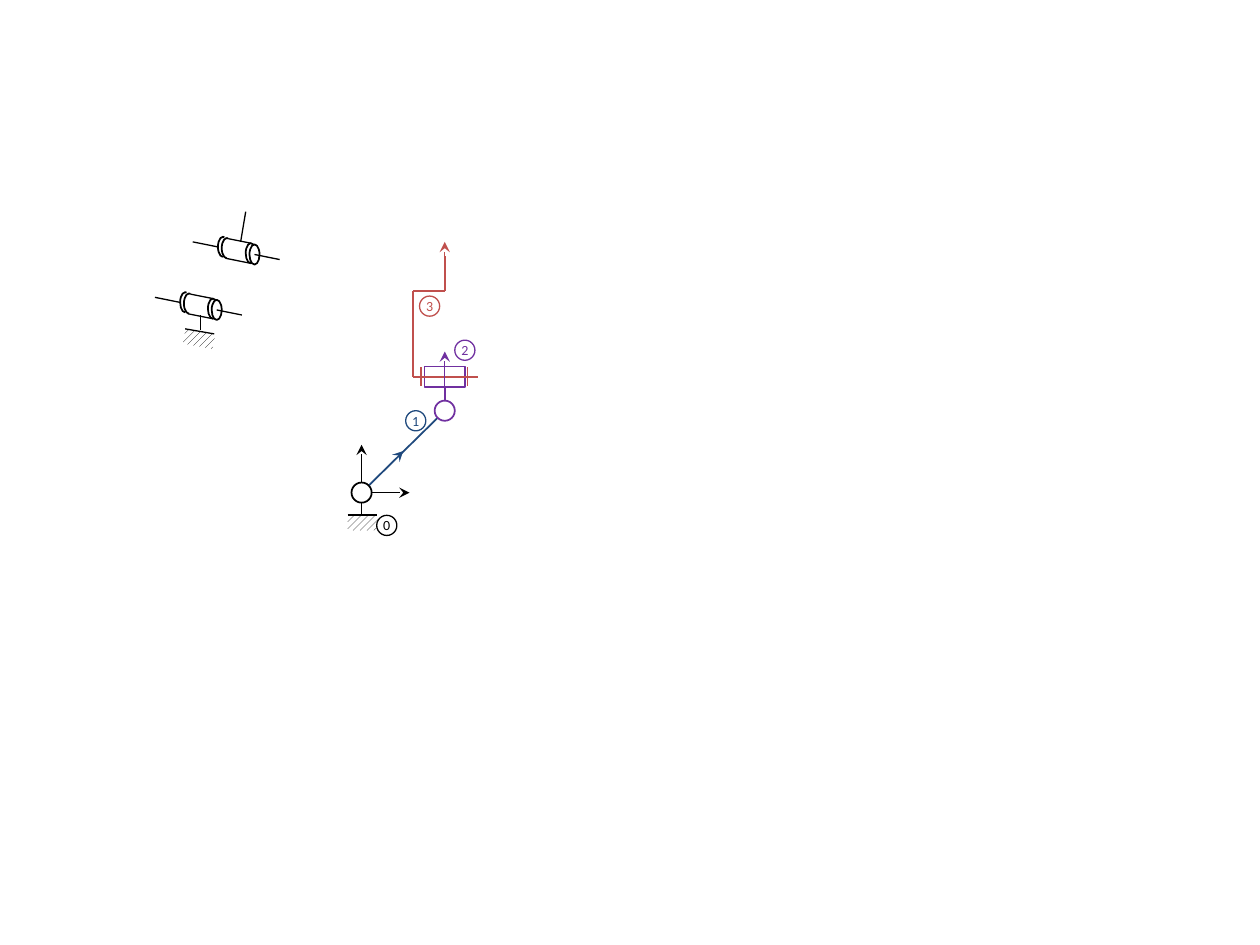
from itertools import pairwise
from lxml import etree
from pptx import Presentation
from pptx.dml.color import RGBColor
from pptx.enum.dml import MSO_PATTERN
from pptx.enum.shapes import MSO_CONNECTOR, MSO_SHAPE
from pptx.enum.text import MSO_ANCHOR, PP_ALIGN
from pptx.oxml.ns import qn
from pptx.util import Inches, Pt

LINE = MSO_CONNECTOR.STRAIGHT
OVAL, ARC, RECT = MSO_SHAPE.OVAL, MSO_SHAPE.ARC, MSO_SHAPE.RECTANGLE
HATCH = MSO_PATTERN.WIDE_UPWARD_DIAGONAL
MIDDLE, CENTER = MSO_ANCHOR.MIDDLE, PP_ALIGN.CENTER

COLORS = {"black": "000000", "white": "FFFFFF", "blue": "1F497D",
          "purple": "7030A0", "red": "C0504D"}
SIZE = 0.16
FRAME = {"margin_left": 0, "margin_right": 0, "margin_top": 0,
         "margin_bottom": 0, "vertical_anchor": MIDDLE, "word_wrap": False}
FONT = {"name": "Calibri", "size": Pt(8)}


def rgb(name):
    return RGBColor.from_string(COLORS[name])


def apply(item, values):
    for key, value in values.items():
        setattr(item, key, value)


def add_line(parent, start, end, color="black", width=0.75, arrow=False):
    ends = [Inches(v) for v in (*start, *end)]
    line = parent.add_connector(LINE, *ends)
    line.line.color.rgb = rgb(color)
    line.line.width = Pt(width)
    props = line._element.spPr
    if arrow:
        etree.SubElement(props.find(qn("a:ln")), qn("a:tailEnd"), type="stealth")
    etree.SubElement(props, qn("a:effectLst"))
    return line


def add_form(parent, kind, left, top, wide, high, color="black", width=1, fill="white"):
    form = parent.add_shape(kind, *[Inches(v) for v in (left, top, wide, high)])
    form.shadow.inherit = False
    if fill:
        form.fill.solid()
        form.fill.fore_color.rgb = rgb(fill)
    else:
        form.fill.background()
    if color:
        form.line.color.rgb = rgb(color)
        form.line.width = Pt(width)
    else:
        form.line.fill.background()
    return form


def add_arc(parent, left, top, fill):
    arc = add_form(parent, ARC, left, top, SIZE / 2, SIZE, fill=fill)
    arc.adjustments[0] = 54.365
    arc.adjustments[1] = 166.893


def add_hinge(shapes, x, y):
    group = shapes.add_group_shape().shapes

    def slant(dx, dy):
        add_line(group, (x + dx, y + dy), (x + dx - 0.2, y + dy - 0.04))

    add_form(group, OVAL, x, y, SIZE / 2, SIZE)
    slant(0.04, 0)
    add_arc(group, x - 0.19, y - 0.04, "white")
    slant(0.04, 0.16)
    add_form(group, OVAL, x + 0.03, y + 0.01, SIZE / 2, SIZE)
    add_arc(group, x - 0.22, y - 0.05, None)
    slant(0.27, 0.13)
    slant(-0.22, 0.03)


def add_ground(shapes, left, top, start, end, width, turn=0):
    group = shapes.add_group_shape().shapes
    soil = add_form(group, RECT, left, top, 0.24, 0.12, color=None)
    soil.fill.patterned()
    soil.fill.pattern = HATCH
    soil.fill.fore_color.rgb = rgb("black")
    soil.fill.back_color.rgb = rgb("white")
    soil.rotation = turn
    add_line(group, start, end, width=width)


def add_label(shapes, text, left, top, color):
    label = add_form(shapes, OVAL, left, top, SIZE, SIZE, color, 0.75)
    apply(label.text_frame, FRAME)
    para = label.text_frame.paragraphs[0]
    para.alignment = CENTER
    run = para.add_run()
    run.text = text
    apply(run.font, FONT)
    run.font.color.rgb = rgb(color)


def main():
    deck = Presentation()
    deck.slide_width, deck.slide_height = Inches(10), Inches(7.5)
    shapes = deck.slides.add_slide(deck.slide_layouts[6]).shapes

    add_hinge(shapes, 1.65, 2.37)
    add_line(shapes, (2.93, 3.85), (3.47, 3.32), "blue", 1)
    add_hinge(shapes, 1.95, 1.93)
    add_line(shapes, (1.59, 2.5), (1.59, 2.62))
    add_ground(shapes, 1.46, 2.63, (1.47, 2.61), (1.7, 2.65), 0.75, 10.3)
    add_line(shapes, (1.91, 1.92), (1.95, 1.68))

    add_form(shapes, OVAL, 2.79, 3.83, SIZE, SIZE)
    add_line(shapes, (2.87, 3.99), (2.87, 4.09), width=1)
    add_ground(shapes, 2.76, 4.09, (2.76, 4.09), (2.99, 4.09), 1)

    add_form(shapes, OVAL, 3.45, 3.18, SIZE, SIZE, "purple")
    sleeve = add_form(shapes, RECT, 3.37, 2.91, 0.32, SIZE, "purple", fill=None)
    stem = add_line(shapes, (3.53, 3.18), (3.53, 3.07), "purple", 1)
    stem.end_connect(sleeve, 2)

    for x in (3.34, 3.71):
        add_line(shapes, (x, 3.06), (x, 2.91), "red", 1)
    bends = [(3.79, 2.99), (3.28, 2.99), (3.28, 2.31), (3.53, 2.31), (3.53, 2.03)]
    for start, end in pairwise(bends):
        add_line(shapes, start, end, "red", 1)

    for start, end in (((2.95, 3.91), (3.25, 3.91)), ((2.87, 3.83), (2.87, 3.53))):
        add_line(shapes, start, end, width=0.5, arrow=True)

    for text, left, top, color in (("0", 2.99, 4.09, "black"), ("1", 3.22, 3.26, "blue"),
                                   ("2", 3.61, 2.7, "purple"), ("3", 3.33, 2.35, "red")):
        add_label(shapes, text, left, top, color)

    for start, end, color in (((2.93, 3.85), (3.2, 3.58), "blue"),
                              ((3.53, 3.18), (3.53, 2.79), "purple"),
                              ((3.53, 2.31), (3.53, 1.92), "red")):
        add_line(shapes, start, end, color, 0.5, True)

    deck.save("out.pptx")


if __name__ == "__main__":
    main()
